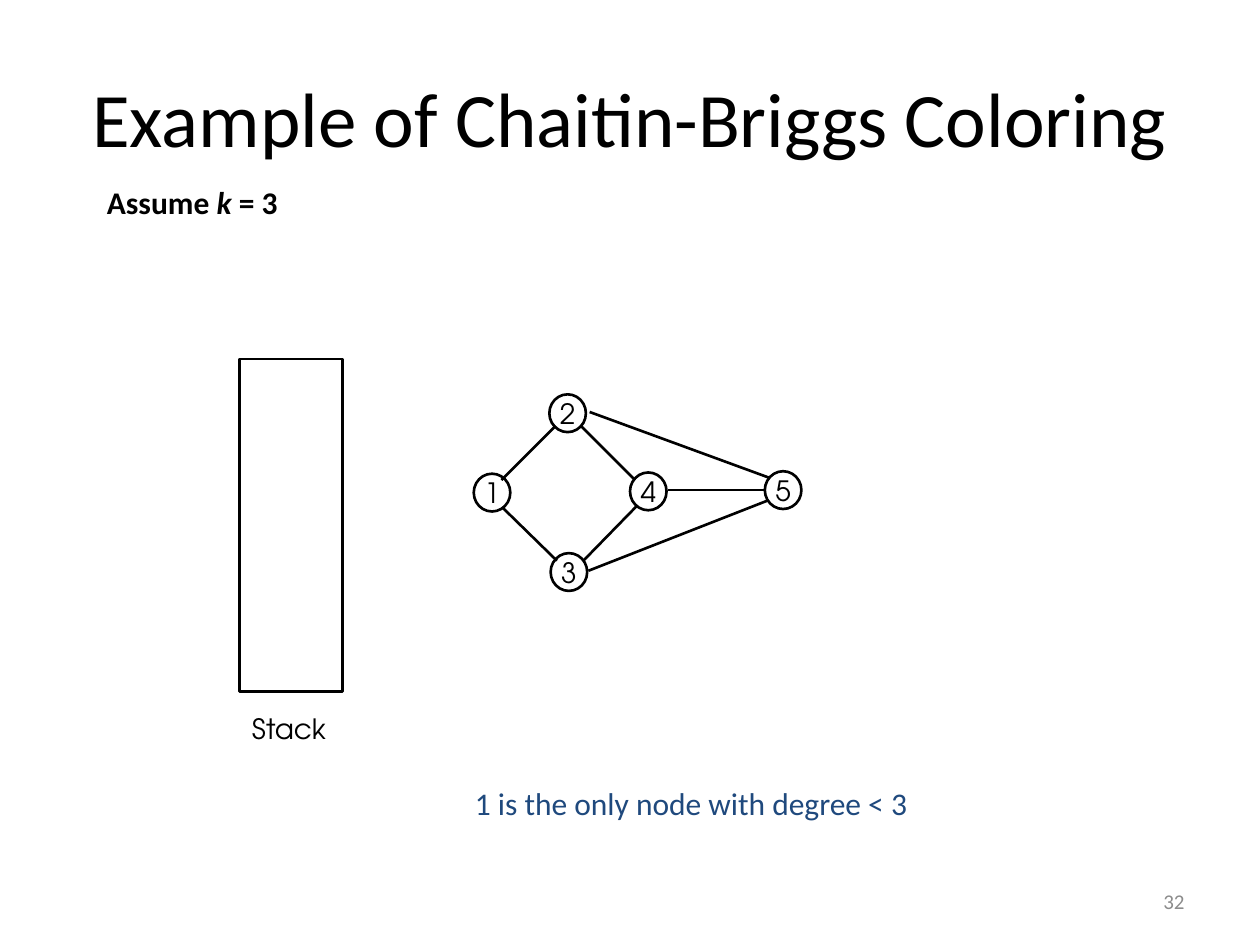
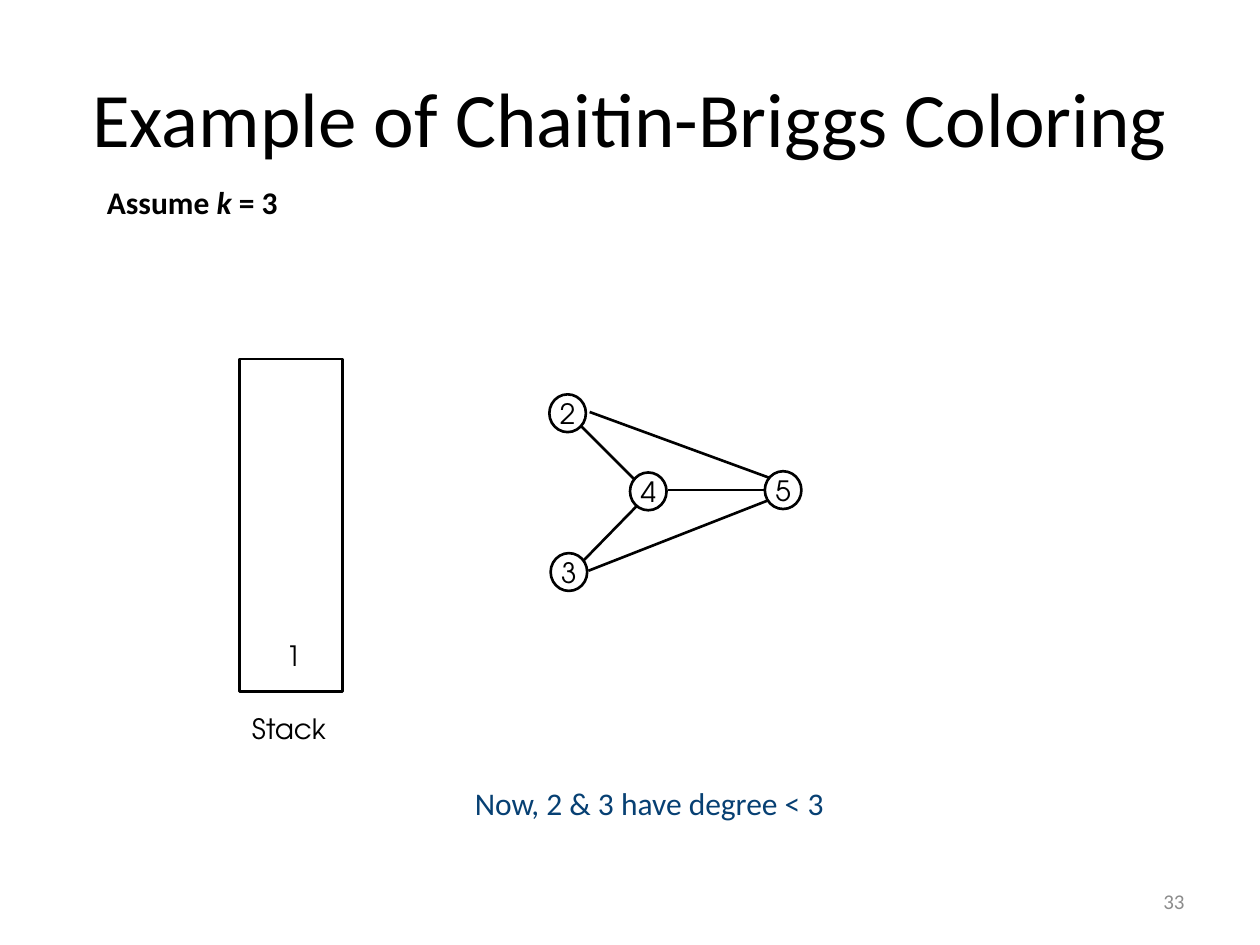
from dataclasses import dataclass

from lxml.etree import SubElement
from pptx import Presentation
from pptx.dml.color import RGBColor
from pptx.enum.shapes import MSO_CONNECTOR, MSO_SHAPE
from pptx.enum.text import MSO_ANCHOR, MSO_AUTO_SIZE, PP_ALIGN
from pptx.oxml.ns import qn
from pptx.util import Inches, Pt

TITLE = "Example of Chaitin-Briggs Coloring"
ASSUMPTION = [("Assume ", False), ("k", True), (" = 3", False)]  # text, italic
STACK_LABEL = "Stack"

STEPS = [
    dict(number=32, stack=[], remark="1 is the only node with degree < 3",
         remark_color="1F497D"),
    dict(number=33, stack=["1"], remark="Now, 2 & 3 have degree < 3",
         remark_color="074073"),
]

# Upper left corner of each node, in inches
NODES = {"2": (4.36, 3.13), "3": (4.37, 4.39), "1": (3.76, 3.76),
         "4": (5, 3.75), "5": (6.07, 3.74)}
# Ends of each edge at the rims of its two nodes, in inches
EDGES = {
    ("2", "4"): ((4.61, 3.38), (5.04, 3.81)),
    ("2", "1"): ((4.41, 3.38), (3.98, 3.81)),
    ("1", "3"): ((3.99, 4.03), (4.42, 4.45)),
    ("4", "3"): ((5.05, 4.02), (4.63, 4.45)),
    ("4", "5"): ((5.3, 3.89), (6.06, 3.89)),
    ("2", "5"): ((4.68, 3.27), (6.1, 3.79)),
    ("3", "5"): ((4.67, 4.53), (6.1, 3.97)),
}
NODE_SIZE = (0.29, 0.3)
STACK_BOX = (1.9, 2.85, 0.82, 2.64)
STACK_ROW = 0.37


@dataclass(frozen=True)
class Theme:
    body_font: str = "Calibri"
    graph_font: str = "TeX Gyre Adventor"
    ink: str = "000000"
    muted: str = "8C8C8C"
    title_size: int = 44
    body_size: int = 18
    graph_size: int = 16
    number_size: int = 12
    line: float = 1.5


THEME = Theme()


def write(shape, runs, size, font=THEME.body_font, color=THEME.ink, bold=False,
          align=PP_ALIGN.LEFT, anchor=MSO_ANCHOR.TOP, wrap=True):
    """Fill a shape with one paragraph; runs is a string or (text, italic) pairs."""
    frame = shape.text_frame
    frame.auto_size = MSO_AUTO_SIZE.NONE
    frame.word_wrap = wrap
    frame.vertical_anchor = anchor
    paragraph = frame.paragraphs[0]
    paragraph.alignment = align
    for text, italic in [(runs, False)] if isinstance(runs, str) else runs:
        run = paragraph.add_run()
        run.text = text
        run.font.name = font
        run.font.size = Pt(size)
        run.font.bold = bold
        run.font.italic = italic
        run.font.color.rgb = RGBColor.from_string(color)


def add_text(slide, place, runs, size, **style):
    write(slide.shapes.add_textbox(*map(Inches, place)), runs, size, **style)


def draw_line(line):
    line.color.rgb = RGBColor.from_string(THEME.ink)
    line.width = Pt(THEME.line)


def add_outline(slide, preset, place):
    shape = slide.shapes.add_shape(preset, *map(Inches, place))
    shape.shadow.inherit = False
    shape.fill.background()
    draw_line(shape.line)
    return shape


def add_graph(slide, removed):
    """Draw the interference graph without the nodes already on the stack."""
    for node, corner in NODES.items():
        if node not in removed:
            circle = add_outline(slide, MSO_SHAPE.OVAL, corner + NODE_SIZE)
            write(circle, node, THEME.graph_size, font=THEME.graph_font,
                  align=PP_ALIGN.CENTER, anchor=MSO_ANCHOR.MIDDLE, wrap=False)
    for pair, (start, end) in EDGES.items():
        if not set(pair) & set(removed):
            edge = slide.shapes.add_connector(
                MSO_CONNECTOR.STRAIGHT, *map(Inches, start + end))
            draw_line(edge.line)
            SubElement(edge._element.spPr, qn("a:effectLst"))


def add_stack(slide, entries):
    left, top, width, height = STACK_BOX
    add_outline(slide, MSO_SHAPE.RECTANGLE, STACK_BOX)
    label_style = dict(font=THEME.graph_font, wrap=False)
    add_text(slide, (left, top + height + 0.11, width, STACK_ROW),
             STACK_LABEL, THEME.graph_size, **label_style)
    for row, entry in enumerate(entries, start=1):
        add_text(slide, (2.17, top + height - 0.1 - row * STACK_ROW, 0.33, STACK_ROW),
                 entry, THEME.graph_size, **label_style)


def add_step(deck, step):
    slide = deck.slides.add_slide(deck.slide_layouts[6])
    add_text(slide, (0.5, 0.3, 9, 1.25), TITLE, THEME.title_size,
             align=PP_ALIGN.CENTER, anchor=MSO_ANCHOR.MIDDLE)
    add_graph(slide, step["stack"])
    add_stack(slide, step["stack"])
    add_text(slide, (3.67, 6.17, 4.25, 0.4), step["remark"], THEME.body_size,
             color=step["remark_color"])
    add_text(slide, (0.75, 1.4, 4.83, 0.4), ASSUMPTION, THEME.body_size, bold=True)
    add_text(slide, (7.17, 6.95, 2.33, 0.4), str(step["number"]), THEME.number_size,
             color=THEME.muted, align=PP_ALIGN.RIGHT, anchor=MSO_ANCHOR.MIDDLE)


def main():
    deck = Presentation()
    deck.slide_width, deck.slide_height = Inches(10), Inches(7.5)
    for step in STEPS:
        add_step(deck, step)
    deck.save("out.pptx")


if __name__ == "__main__":
    main()
